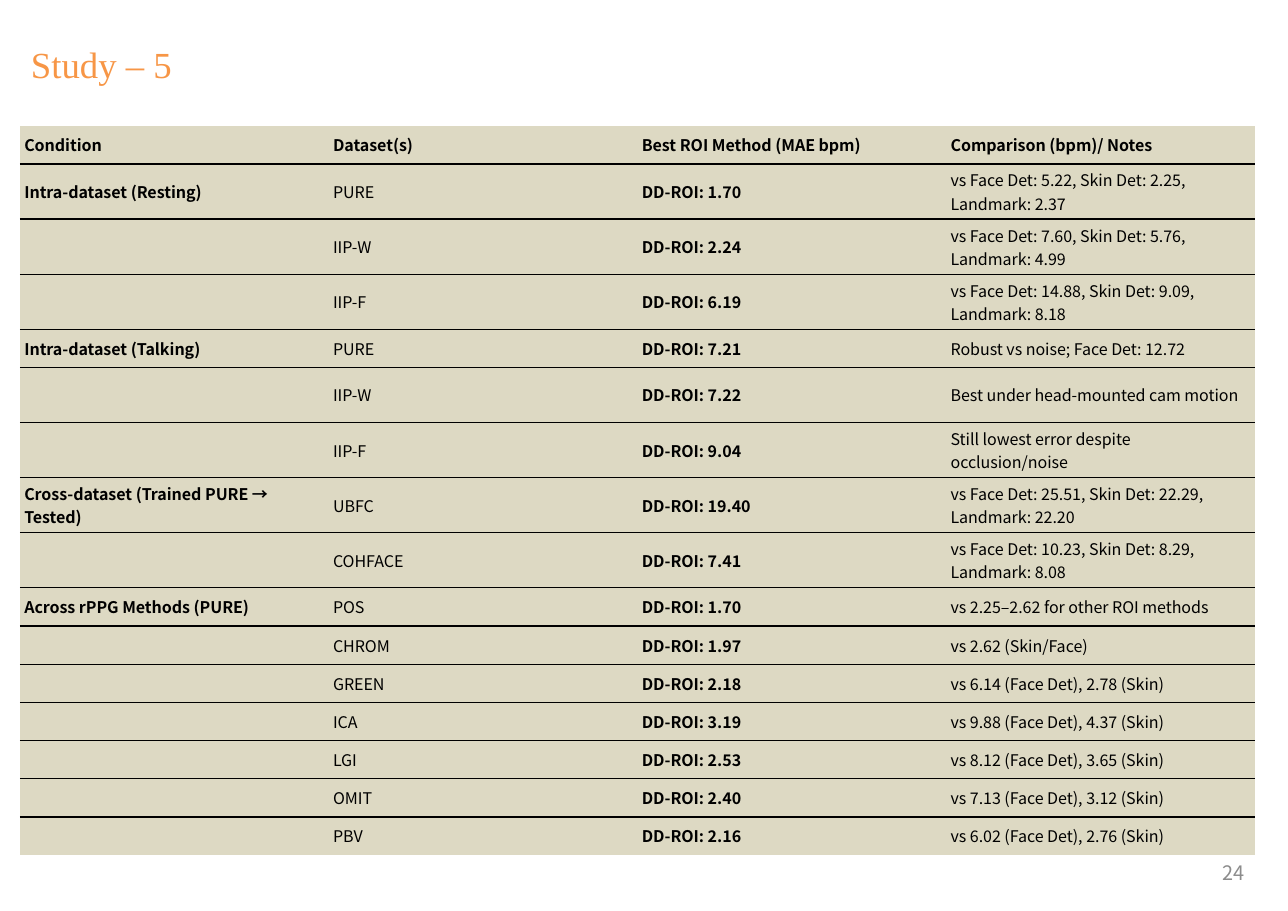
from lxml import etree
from pptx import Presentation
from pptx.dml.color import RGBColor
from pptx.enum import text as t
from pptx.oxml import ns
from pptx.util import Cm, Pt

ORANGE = RGBColor(0xF7, 0x96, 0x46)
GRAY = RGBColor(0x8C, 0x8C, 0x8C)
BLACK = RGBColor(0, 0, 0)
SAND = RGBColor(0xDD, 0xD9, 0xC3)
SANS = "Noto Sans CJK KR"
SERIF = "Times New Roman"
NO_TABLE_STYLE = "{2D5ABB26-0587-4C30-8999-92F81FD0307C}"

COLUMN_WIDTH, SHORT_ROW, TALL_ROW = Cm(7.12), Cm(0.88), Cm(1.27)
SHORT_ROWS = {0, 4, *range(9, 16)}

ROWS = [
    ("Condition", "Dataset(s)", "Best ROI Method (MAE bpm)", "Comparison (bpm)/ Notes"),
    ("Intra-dataset (Resting)", "PURE", "DD-ROI: 1.70",
     "vs Face Det: 5.22, Skin Det: 2.25, Landmark: 2.37"),
    ("", "IIP-W", "DD-ROI: 2.24", "vs Face Det: 7.60, Skin Det: 5.76, Landmark: 4.99"),
    ("", "IIP-F", "DD-ROI: 6.19", "vs Face Det: 14.88, Skin Det: 9.09, Landmark: 8.18"),
    ("Intra-dataset (Talking)", "PURE", "DD-ROI: 7.21", "Robust vs noise; Face Det: 12.72"),
    ("", "IIP-W", "DD-ROI: 7.22", "Best under head-mounted cam motion"),
    ("", "IIP-F", "DD-ROI: 9.04", "Still lowest error despite occlusion/noise"),
    ("Cross-dataset (Trained PURE → Tested)", "UBFC", "DD-ROI: 19.40",
     "vs Face Det: 25.51, Skin Det: 22.29, Landmark: 22.20"),
    ("", "COHFACE", "DD-ROI: 7.41", "vs Face Det: 10.23, Skin Det: 8.29, Landmark: 8.08"),
    ("Across rPPG Methods (PURE)", "POS", "DD-ROI: 1.70", "vs 2.25–2.62 for other ROI methods"),
    ("", "CHROM", "DD-ROI: 1.97", "vs 2.62 (Skin/Face)"),
    ("", "GREEN", "DD-ROI: 2.18", "vs 6.14 (Face Det), 2.78 (Skin)"),
    ("", "ICA", "DD-ROI: 3.19", "vs 9.88 (Face Det), 4.37 (Skin)"),
    ("", "LGI", "DD-ROI: 2.53", "vs 8.12 (Face Det), 3.65 (Skin)"),
    ("", "OMIT", "DD-ROI: 2.40", "vs 7.13 (Face Det), 3.12 (Skin)"),
    ("", "PBV", "DD-ROI: 2.16", "vs 6.02 (Face Det), 2.76 (Skin)"),
]


def write(frame, words, size=10.5, font=SANS, color=BLACK, bold=False,
          align=t.PP_ALIGN.LEFT, spacing=1.0):
    frame.word_wrap = True
    paragraph = frame.paragraphs[0]
    paragraph.alignment = align
    paragraph.line_spacing = spacing
    run = paragraph.add_run()
    run.text = words
    run.font.size = Pt(size)
    run.font.name = font
    run.font.bold = bold
    run.font.color.rgb = color


def add_border(cell, side):
    line = etree.SubElement(cell._tc.get_or_add_tcPr(), ns.qn(f"a:{side}"), w=str(Pt(1)))
    fill = etree.SubElement(line, ns.qn("a:solidFill"))
    etree.SubElement(fill, ns.qn("a:srgbClr"), val=str(BLACK))


presentation = Presentation()
presentation.slide_width = Cm(29.7)
presentation.slide_height = Cm(21)
slide = presentation.slides.add_slide(presentation.slide_layouts[5])

# Title
title = slide.shapes.title
title.left, title.top, title.width, title.height = Cm(0.46), Cm(0.33), Cm(23.14), Cm(1.63)
title.text_frame.vertical_anchor = t.MSO_ANCHOR.TOP
title.text_frame.auto_size = t.MSO_AUTO_SIZE.SHAPE_TO_FIT_TEXT
write(title.text_frame, "Study – 5", size=24, font=SERIF, color=ORANGE, spacing=1.5)

# Results table
heights = [SHORT_ROW if i in SHORT_ROWS else TALL_ROW for i in range(len(ROWS))]
table = slide.shapes.add_table(len(ROWS), 4, Cm(0.46), Cm(2.9),
                               COLUMN_WIDTH * 4, sum(heights)).table
table.first_row = table.horz_banding = False
table._tbl.tblPr.find(ns.qn("a:tableStyleId")).text = NO_TABLE_STYLE
for column in table.columns:
    column.width = COLUMN_WIDTH

for i, entries in enumerate(ROWS):
    table.rows[i].height = heights[i]
    for j, entry in enumerate(entries):
        cell = table.cell(i, j)
        cell.margin_left = cell.margin_right = Cm(0.1)
        cell.margin_top = cell.margin_bottom = Cm(0.05)
        cell.vertical_anchor = t.MSO_ANCHOR.MIDDLE
        if i > 0:
            add_border(cell, "lnT")
        if i < len(ROWS) - 1:
            add_border(cell, "lnB")
        cell.fill.solid()
        cell.fill.fore_color.rgb = SAND
        write(cell.text_frame, entry, bold=i == 0 or j in (0, 2))

# Page number
page_number = slide.shapes.add_textbox(Cm(22.02), Cm(19.56), Cm(6.93), Cm(1.12))
page_number.text_frame.vertical_anchor = t.MSO_ANCHOR.MIDDLE
write(page_number.text_frame, "24", size=13, color=GRAY, align=t.PP_ALIGN.RIGHT)

presentation.save("out.pptx")
